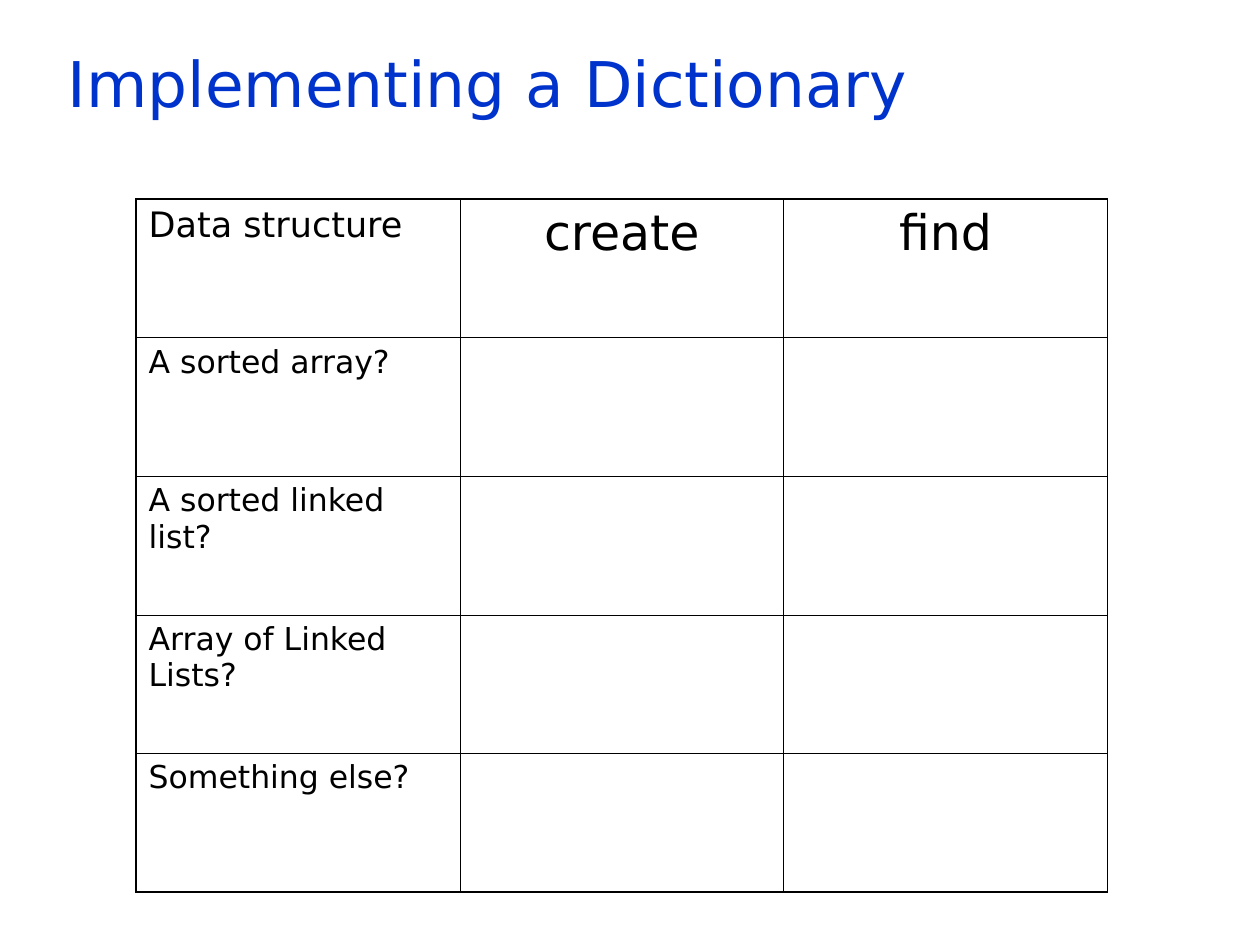
from typing import NamedTuple

from lxml import etree
from pptx import Presentation
from pptx.dml.color import RGBColor
from pptx.enum.text import MSO_ANCHOR as Anchor, PP_ALIGN as Align
from pptx.oxml.ns import qn
from pptx.util import Inches, Pt

FONT = "DejaVu Sans"
BLACK = "000000"
BLUE = "0033CC"
OUTER_LINE = 1.08
INNER_LINE = 0.45
COLUMN_WIDTH = 2.57
ROW_HEIGHT = 1.1


class Label(NamedTuple):
    text: str
    size: float
    align: Align = Align.LEFT


HEADINGS = [
    Label("Data structure", 20),
    Label("create", 28, Align.CENTER),
    Label("find", 28, Align.CENTER),
]
STRUCTURES = [
    "A sorted array?",
    "A sorted linked list?",
    "Array of Linked Lists?",
    "Something else?",
]


def color(hex_code: str) -> RGBColor:
    return RGBColor.from_string(hex_code)


def write(frame, text: str, *, size: float, hex_code: str = BLACK,
          align: Align = Align.LEFT, space_before: float = 0) -> None:
    frame.word_wrap = True
    paragraph = frame.paragraphs[0]
    paragraph.alignment = align
    paragraph.space_before = Pt(space_before)
    run = paragraph.add_run()
    run.text = text
    run.font.name = FONT
    run.font.size = Pt(size)
    run.font.color.rgb = color(hex_code)


def set_borders(cell, widths: dict[str, float]) -> None:
    """Draw cell edges, keyed L, R, T and B in schema order."""
    properties = cell._tc.get_or_add_tcPr()
    for index, (edge, width) in enumerate(widths.items()):
        line = etree.Element(qn(f"a:ln{edge}"), w=str(int(Pt(width))))
        fill = etree.SubElement(line, qn("a:solidFill"))
        etree.SubElement(fill, qn("a:srgbClr"), val=BLACK)
        properties.insert(index, line)


def add_title(slide, text: str) -> None:
    box = slide.shapes.add_textbox(
        Inches(0.44), Inches(0.25), Inches(8.5), Inches(0.75))
    box.text_frame.vertical_anchor = Anchor.BOTTOM
    write(box.text_frame, text, size=36, hex_code=BLUE)


def add_comparison(slide, headings: list[Label], structures: list[str]) -> None:
    rows = [headings] + [[Label(name, 18)] for name in structures]
    row_count, column_count = len(rows), len(headings)
    table = slide.shapes.add_table(
        row_count, column_count, Inches(1.08), Inches(1.58),
        Inches(COLUMN_WIDTH * column_count), Inches(ROW_HEIGHT * row_count)).table
    table.first_row = table.horz_banding = False
    for column in table.columns:
        column.width = Inches(COLUMN_WIDTH)
    for row in table.rows:
        row.height = Inches(ROW_HEIGHT)

    for r, labels in enumerate(rows):
        for c in range(column_count):
            cell = table.cell(r, c)
            cell.fill.background()
            on_outside = {"L": c == 0, "R": c == column_count - 1,
                          "T": r == 0, "B": r == row_count - 1}
            set_borders(cell, {edge: OUTER_LINE if outside else INNER_LINE
                               for edge, outside in on_outside.items()})
        for c, label in enumerate(labels):
            write(table.cell(r, c).text_frame, label.text, size=label.size,
                  align=label.align, space_before=label.size / 4)


def main() -> None:
    deck = Presentation()
    deck.slide_width, deck.slide_height = Inches(10), Inches(7.5)
    slide = deck.slides.add_slide(deck.slide_layouts[6])
    add_title(slide, "Implementing a Dictionary")
    add_comparison(slide, HEADINGS, STRUCTURES)
    deck.save("out.pptx")


if __name__ == "__main__":
    main()
